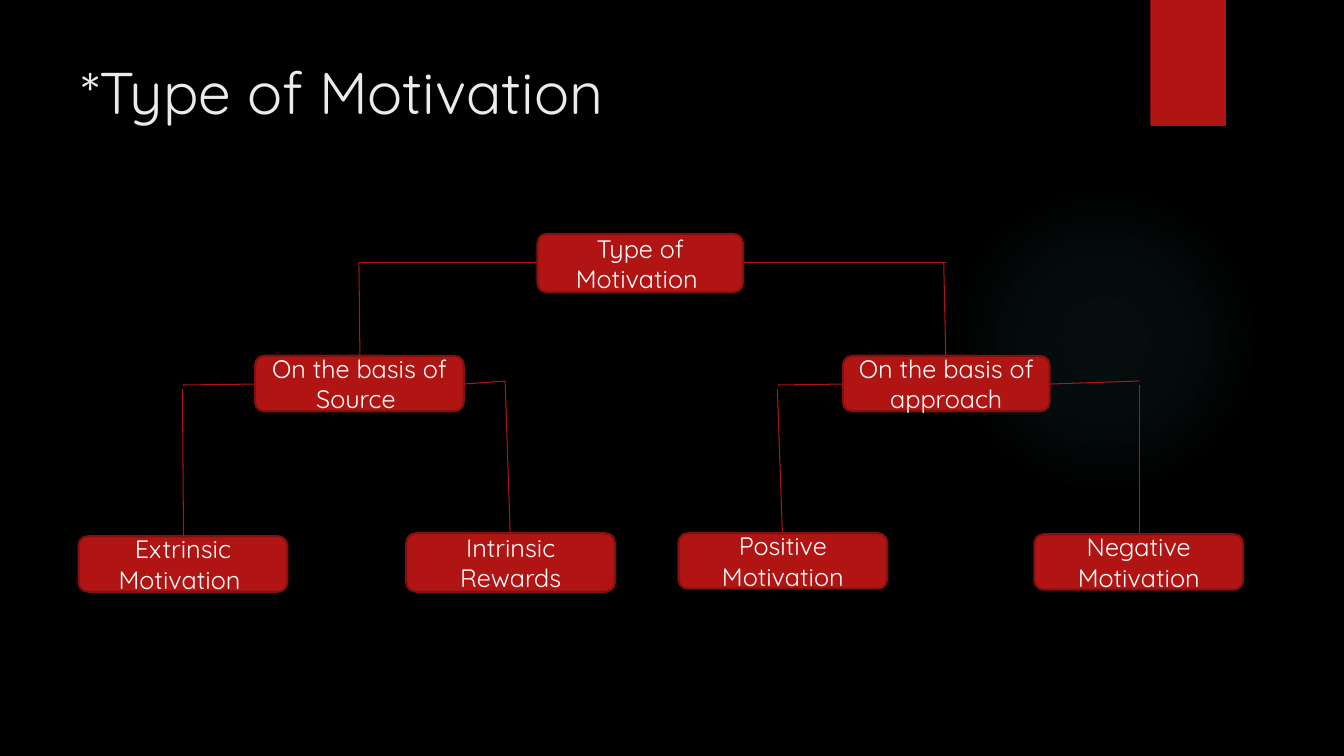
"""Builds a slide with a tree of the types of motivation."""
import pptx
import pptx.dml.color
import pptx.enum.shapes
import pptx.enum.text
import pptx.oxml
import pptx.oxml.ns
import pptx.util
from pptx.util import Inches

MSO = pptx.enum.shapes.MSO_SHAPE
ANCHOR = pptx.enum.text.MSO_ANCHOR
ALIGN = pptx.enum.text.PP_ALIGN


def color(value):
    return pptx.dml.color.RGBColor.from_string(value)


class Deck:
    font, red, edge, white, heading = "Quicksand", "B01513", "82100E", "FFFFFF", "EBEBEB"

    def __init__(self):
        self.prs = pptx.Presentation()
        self.prs.slide_width, self.prs.slide_height = Inches(13.33), Inches(7.5)
        self.s = self.prs.slides.add_slide(self.prs.slide_layouts[5])
        self.s.background.fill.solid()
        self.s.background.fill.fore_color.rgb = color("000000")

    def label(self, sp, text, size, rgb, align, anchor):
        tf = sp.text_frame
        tf.word_wrap = True
        tf.auto_size = pptx.enum.text.MSO_AUTO_SIZE.NONE
        tf.vertical_anchor = anchor
        tf.text = text
        p = tf.paragraphs[0]
        p.alignment = align
        for r in p.runs:
            r.font.name = self.font
            r.font.size = pptx.util.Pt(size)
            r.font.color.rgb = color(rgb)

    def title(self, text, x, y, w, h):
        sp = self.s.shapes.title
        sp.left, sp.top, sp.width, sp.height = map(Inches, (x, y, w, h))
        self.label(sp, text, 42, self.heading, ALIGN.LEFT, ANCHOR.TOP)

    def shape(self, kind, x, y, w, h):
        sp = self.s.shapes.add_shape(kind, *map(Inches, (x, y, w, h)))
        sp.shadow.inherit = False
        sp.fill.solid()
        sp.fill.fore_color.rgb = color(self.red)
        sp.line.fill.background()
        return sp

    def glow(self, x, y, size, rgb, stops):
        sp = self.shape(MSO.OVAL, x, y, size, size)
        marks = "".join(
            f'<a:gs pos="{pos * 1000}"><a:srgbClr val="{rgb}">'
            f'<a:alpha val="{alpha * 1000}"/></a:srgbClr></a:gs>'
            for pos, alpha in stops)
        grad = pptx.oxml.parse_xml(
            f'<a:gradFill {pptx.oxml.ns.nsdecls("a")} rotWithShape="1">'
            f'<a:gsLst>{marks}</a:gsLst><a:path path="circle">'
            '<a:fillToRect l="50000" t="50000" r="50000" b="50000"/></a:path></a:gradFill>')
        spPr = sp._element.spPr
        spPr.replace(spPr.find(pptx.oxml.ns.qn("a:solidFill")), grad)

    def box(self, text, x, y, w, h):
        sp = self.shape(MSO.ROUNDED_RECTANGLE, x, y, w, h)
        sp.line.color.rgb = color(self.edge)
        sp.line.width = pptx.util.Pt(1.5)
        self.label(sp, text, 18, self.white, ALIGN.CENTER, ANCHOR.MIDDLE)

    def line(self, x1, y1, x2, y2):
        c = self.s.shapes.add_connector(
            pptx.enum.shapes.MSO_CONNECTOR.STRAIGHT, *map(Inches, (x1, y1, x2, y2)))
        c.line.color.rgb = color(self.red)
        c.line.width = pptx.util.Pt(0.75)
        c._element.spPr.append(
            pptx.oxml.parse_xml(f'<a:effectLst {pptx.oxml.ns.nsdecls("a")}/>'))


BOXES = [
    ("Type of Motivation ", 5.33, 2.32, 2.04, 0.58),
    ("On the basis of Source ", 2.53, 3.53, 2.07, 0.55),
    ("On the basis of approach", 8.36, 3.53, 2.05, 0.55),
    ("Intrinsic Rewards", 4.03, 5.29, 2.07, 0.58),
    ("Extrinsic Motivation ", 0.78, 5.32, 2.07, 0.55),
    ("Positive Motivation", 6.73, 5.29, 2.07, 0.55),
    ("Negative Motivation", 10.26, 5.3, 2.07, 0.55),
]
DROPS = [
    (3.57, 3.53, 3.56, 2.6), (9.38, 3.53, 9.36, 2.6),
    (1.82, 5.32, 1.81, 3.86), (5.06, 5.29, 5.01, 3.78),
    (7.76, 5.29, 7.71, 3.86), (11.3, 5.3, 11.3, 3.82),
]
ARMS = [
    (5.33, 2.6, 3.56, 2.6), (7.38, 2.6, 9.38, 2.6),
    (2.53, 3.81, 1.81, 3.82), (4.6, 3.81, 5.01, 3.78),
    (8.36, 3.81, 7.71, 3.82), (10.41, 3.81, 11.3, 3.78),
]


def main():
    deck = Deck()
    deck.glow(9.41, 1.83, 3.08, "50B9C1", [(0, 7), (36, 6), (69, 0)])
    deck.shape(MSO.RECTANGLE, 11.41, 0, 0.75, 1.25)
    for box in BOXES:
        deck.box(*box)
    for line in DROPS + ARMS:
        deck.line(*line)
    deck.title("*Type of Motivation", 0.71, 0.5, 10.29, 1.53)
    deck.prs.save("out.pptx")


if __name__ == "__main__":
    main()
